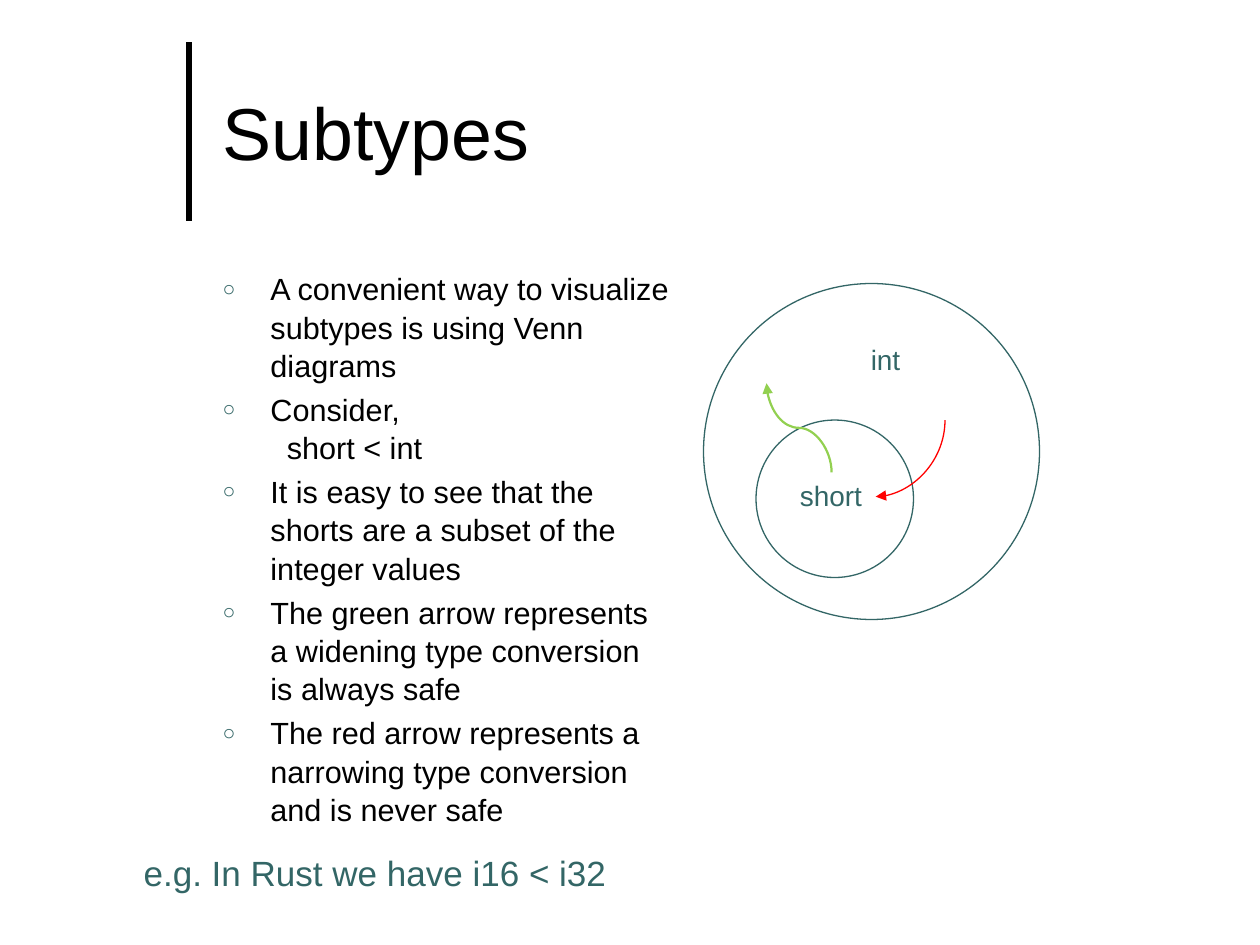
from lxml.etree import SubElement
from pptx import Presentation
from pptx.dml.color import RGBColor
from pptx.enum.shapes import MSO_CONNECTOR, MSO_SHAPE
from pptx.enum.text import MSO_ANCHOR, MSO_AUTO_SIZE, PP_ALIGN
from pptx.oxml.ns import qn
from pptx.util import Inches, Pt

COLUMNS, ROWS = 120, 90
WIDTH, HEIGHT = Inches(10), Inches(7.5)
BLACK, TEAL, GREEN, RED = "000000", "336666", "92D050", "FF0000"
POINTS = [
    ["A convenient way to visualize subtypes is using Venn diagrams"],
    ["Consider,", "short < int"],
    ["It is easy to see that the shorts are a subset of the integer values"],
    ["The green arrow represents a widening type conversion is always safe"],
    ["The red arrow represents a narrowing type conversion and is never safe"],
]


def grid(*lengths):
    """Turn alternating columns and rows into slide lengths."""
    cells = (WIDTH / COLUMNS, HEIGHT / ROWS)
    return [round(length * cells[i % 2]) for i, length in enumerate(lengths)]


def colour(code):
    """Turn a hex string into a colour."""
    return RGBColor.from_string(code)


def apply(target, formats):
    """Set every attribute named in formats."""
    for attribute, value in formats.items():
        setattr(target, attribute, value)


def write(paragraph, text, size, code):
    """Put text into a paragraph in the slide's typeface."""
    paragraph.text = text
    apply(paragraph.font, {"name": "Arial", "size": Pt(size)})
    paragraph.font.color.rgb = colour(code)


def add_element(parent, tag, **attributes):
    """Append a drawing element to its parent."""
    return SubElement(parent, qn(tag), attributes)


def place(shape, box):
    """Move a shape into a box of the grid."""
    apply(shape, dict(zip(("left", "top", "width", "height"), grid(*box))))


def draw_line(slide, kind, start, end, code, weight):
    """Draw a connector without shadow between two grid points."""
    line = slide.shapes.add_connector(kind, *grid(*start, *end))
    line.line.color.rgb = colour(code)
    line.line.width = Pt(weight)
    add_element(line._element.spPr, "a:effectLst")
    return line


def draw_curve(slide, preset, start, end, code, weight):
    """Draw a curved arrow that leaves its start vertically."""
    middle_x, middle_y = (start[0] + end[0]) / 2, (start[1] + end[1]) / 2
    turn = 1 if end[1] > start[1] else -1
    across, down = turn * (start[1] - middle_y), turn * (middle_x - start[0])
    arrow = draw_line(slide, MSO_CONNECTOR.CURVE, (middle_x + across, middle_y + down),
                      (middle_x - across, middle_y - down), code, weight)
    properties = arrow._element.spPr
    properties.find(qn("a:xfrm")).set("rot", str(turn * 90 % 360 * 60000))
    properties.find(qn("a:prstGeom")).set("prst", preset)
    add_element(properties.find(qn("a:ln")), "a:tailEnd", type="triangle")


def add_label(slide, box, text, size):
    """Add a one-line teal label."""
    label = slide.shapes.add_textbox(*grid(*box)).text_frame
    apply(label, {"word_wrap": False, "auto_size": MSO_AUTO_SIZE.SHAPE_TO_FIT_TEXT})
    write(label.paragraphs[0], text, size, TEAL)


def add_circle(slide, left, top, diameter):
    """Add an outlined circle for one set of values."""
    circle = slide.shapes.add_shape(MSO_SHAPE.OVAL, *grid(left, top, diameter, diameter))
    circle.shadow.inherit = False
    circle.fill.background()
    circle.line.color.rgb = colour(TEAL)
    circle.line.width = Pt(0.75)


def build_heading(slide, box, text):
    """Place the title with the thick rule to its left."""
    left, top, _, height = box
    draw_line(slide, MSO_CONNECTOR.STRAIGHT, (left - 2, top + height - 1.5),
              (left - 2, top + 1.5), BLACK, 3)
    title = slide.shapes.title
    place(title, box)
    apply(title.text_frame, {"vertical_anchor": MSO_ANCHOR.MIDDLE,
                             "word_wrap": True, "auto_size": MSO_AUTO_SIZE.NONE})
    write(title.text_frame.paragraphs[0], text, 42, BLACK)
    title.text_frame.paragraphs[0].alignment = PP_ALIGN.LEFT


def build_points(slide, box, points):
    """Fill the body with bulleted points and their indented follow-on lines."""
    body = slide.placeholders[1]
    place(body, box)
    frame = body.text_frame
    apply(frame, {"vertical_anchor": MSO_ANCHOR.TOP, "word_wrap": True,
                  "auto_size": MSO_AUTO_SIZE.NONE})
    lines = [(text, row == 0) for point in points for row, text in enumerate(point)]
    for number, (text, leads) in enumerate(lines):
        paragraph = frame.add_paragraph() if number else frame.paragraphs[0]
        write(paragraph, text, 17.5, BLACK)
        apply(paragraph, {"alignment": PP_ALIGN.LEFT, "line_spacing": 1.04,
                          "space_before": Pt(3.5 if leads else 0)})
        properties = paragraph._p.get_or_add_pPr()
        properties.set("marL", str(Inches(0.38 if leads else 0.51)))
        properties.set("indent", str(Inches(-0.38 if leads else 0)))
        if leads:
            bullet_colour = add_element(properties, "a:buClr")
            add_element(bullet_colour, "a:srgbClr", val=TEAL)
            add_element(properties, "a:buSzPct", val="70000")
            add_element(properties, "a:buFont", typeface="Arial")
            add_element(properties, "a:buChar", char="○")
        else:
            add_element(properties, "a:buNone")


def build_venn(slide, box):
    """Draw short inside int with the two conversions between them."""
    left, top, diameter, _ = box
    add_circle(slide, left, top, diameter)
    add_circle(slide, left + 5, top + 13, 15)
    add_label(slide, (left + 14.75, top + 5, 5.25, 4.5), "int", 16)
    add_label(slide, (left + 8, top + 18, 8.4, 4.5), "short", 16)
    draw_curve(slide, "curvedConnector3", (left + 12.2, top + 18),
               (left + 6, top + 9.5), GREEN, 1.25)
    draw_curve(slide, "curvedConnector2", (left + 23, top + 13),
               (left + 16.4, top + 20.3), RED, 0.75)


def main():
    """Build and save the slide."""
    presentation = Presentation()
    apply(presentation, {"slide_width": WIDTH, "slide_height": HEIGHT})
    slide = presentation.slides.add_slide(presentation.slide_layouts[1])
    build_heading(slide, (20, 2.5, 92, 20), "Subtypes")
    build_points(slide, (20, 25, 45, 54), POINTS)
    build_venn(slide, (67, 27, 32, 32))
    add_label(slide, (12.5, 80.5, 46.8, 5.25), "e.g. In Rust we have i16 < i32", 20)
    presentation.save("out.pptx")


if __name__ == "__main__":
    main()
